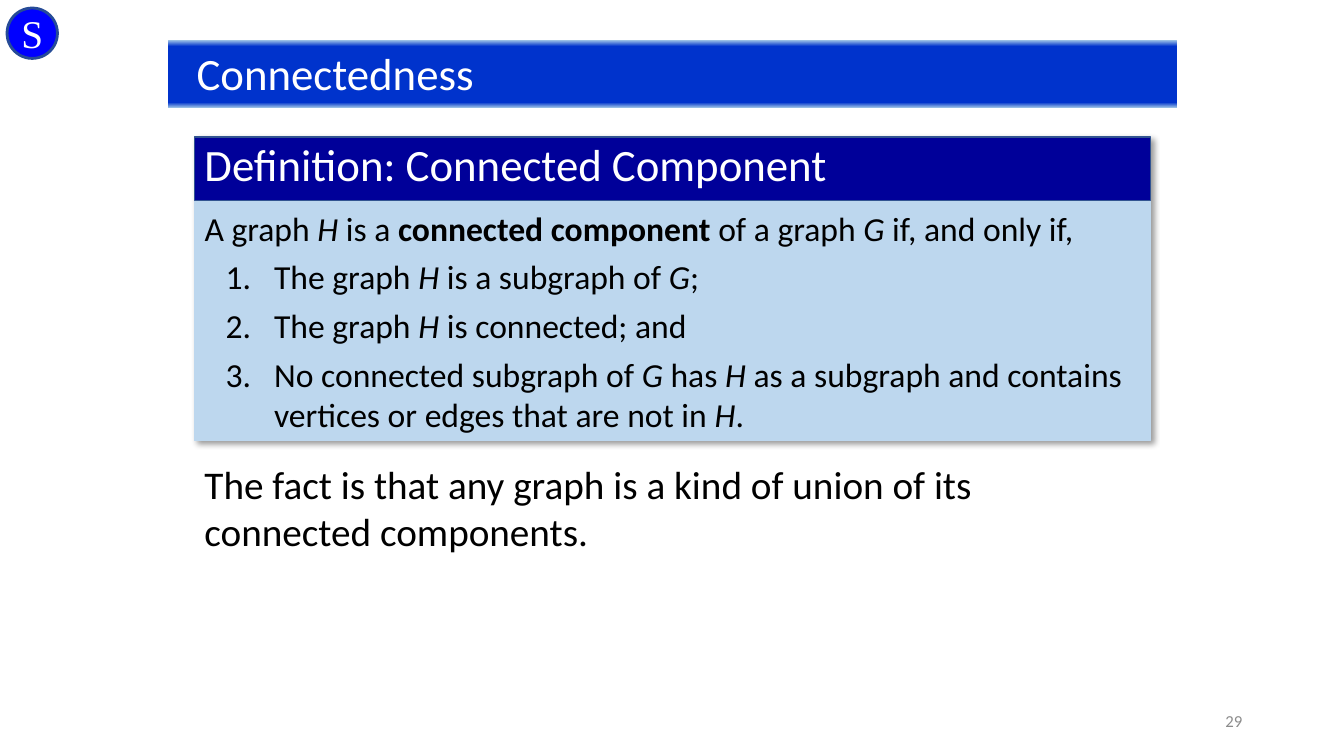
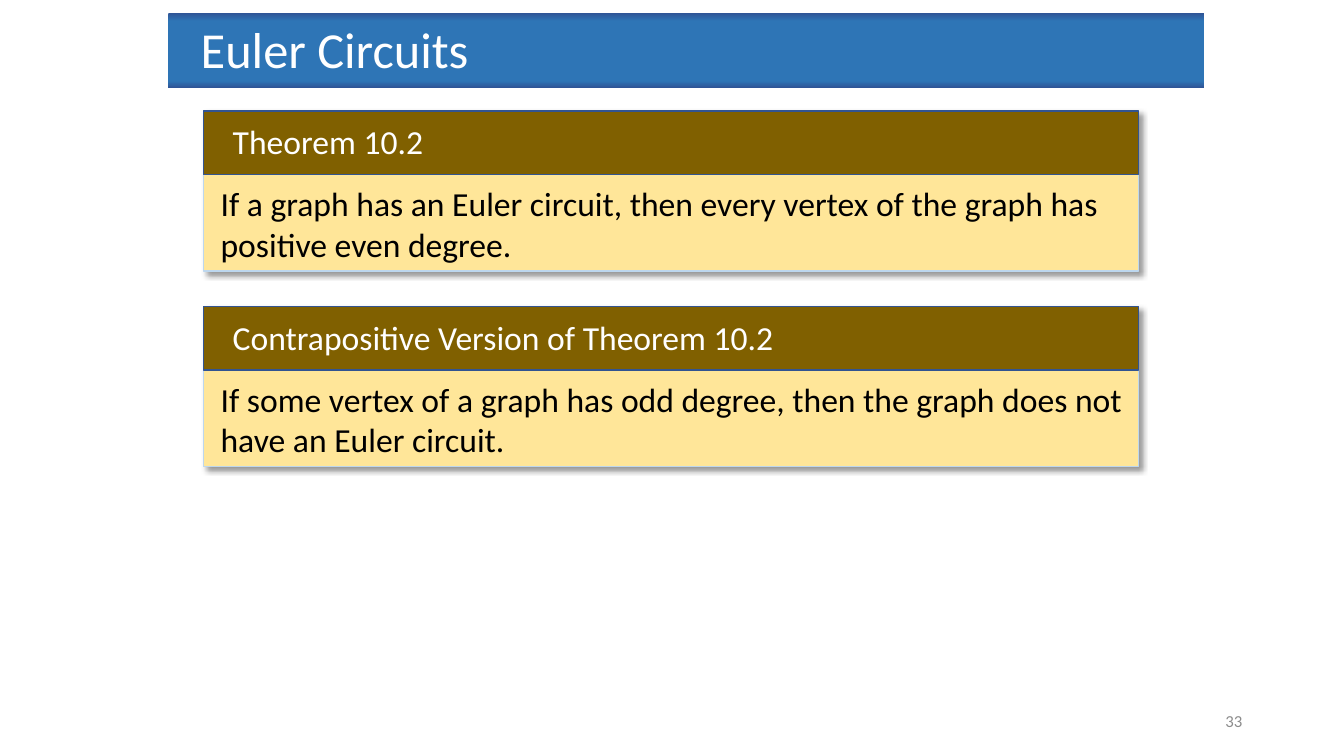
from dataclasses import dataclass
from typing import NamedTuple

import lxml.etree
import pptx
import pptx.dml.color
import pptx.enum.shapes
import pptx.enum.text
import pptx.oxml.ns
import pptx.util

Inches = pptx.util.Inches
Pt = pptx.util.Pt
Shapes = pptx.enum.shapes.MSO_SHAPE
Align = pptx.enum.text.PP_ALIGN
Anchor = pptx.enum.text.MSO_ANCHOR
qn = pptx.oxml.ns.qn

COLOURS = {
    "white": "FFFFFF", "black": "000000", "page number": "8C8C8C",
    "royal": "0033CC", "sky": "9DC3E6", "steel": "2E75B6", "denim": "2F5597",
    "navy": "000099", "pale blue": "BDD7EE", "header line": "325491",
    "brown": "806000", "cream": "FFE699",
    "badge": "0000FF", "badge line": "264B97",
}
FONT = "Calibri"


class Area(NamedTuple):
    left: float
    top: float
    width: float
    height: float

    def lengths(self) -> list:
        return [Inches(value) for value in self]


class Span(NamedTuple):
    text: str
    bold: bool = False
    italic: bool = False


class Line(NamedTuple):
    spans: list[Span]
    numbered: bool = False


@dataclass
class Banner:
    text: str
    area: Area
    size: int
    indent: float
    edge: str
    centre: str
    stops: tuple[int, int]


@dataclass
class PanelStyle:
    """Colours of a titled panel and the offsets of its texts from its corner."""
    header: str
    body: str
    heading_size: int
    heading_at: Area
    text_left: float
    text_top: float


@dataclass
class Panel:
    heading: str
    lines: list[Line]
    area: Area
    style: PanelStyle


HEADER_HEIGHT = 0.63
DEFINITION = PanelStyle("navy", "pale blue", 32, Area(0, -0.05, 8.96, 0.64), 0, 0.65)
THEOREM = PanelStyle("brown", "cream", 24, Area(0.19, 0.05, 7.74, 0.5), 0.07, 0.67)


def rgb(name: str) -> pptx.dml.color.RGBColor:
    return pptx.dml.color.RGBColor.from_string(COLOURS[name])


def add_span(para, span: Span, size: int, colour: str, font: str = FONT) -> None:
    run = para.add_run()
    run.text = span.text
    run.font.name = font
    run.font.size = Pt(size)
    run.font.color.rgb = rgb(colour)
    run.font.bold = span.bold
    run.font.italic = span.italic


def add_text(page, area: Area, lines: list[Line], size: int, colour: str = "black",
             space_after: int = 0):
    box = page.shapes.add_textbox(*area.lengths())
    frame = box.text_frame
    frame.word_wrap = True
    for index, line in enumerate(lines):
        para = frame.add_paragraph() if index else frame.paragraphs[0]
        if line.numbered:
            properties = para._p.get_or_add_pPr()
            properties.set("marL", str(Inches(0.69)))
            properties.set("indent", str(Inches(-0.48)))
            lxml.etree.SubElement(properties, qn("a:buAutoNum"), type="arabicPeriod")
        para.space_after = Pt(space_after)
        for span in line.spans:
            add_span(para, span, size, colour)
    return box


def add_filled(page, kind, area: Area, fill: str, line: str, line_width: int = 1):
    shape = page.shapes.add_shape(kind, *area.lengths())
    shape.shadow.inherit = False
    shape.fill.solid()
    shape.fill.fore_color.rgb = rgb(fill)
    shape.line.color.rgb = rgb(line)
    shape.line.width = Pt(line_width)
    return shape


def cast_shadow(shape) -> None:
    effects = shape._element.spPr.find(qn("a:effectLst"))
    shadow = lxml.etree.SubElement(
        effects, qn("a:outerShdw"), blurRad=str(Pt(4)), dist=str(Pt(3)),
        dir=str(45 * 60000), algn="tl", rotWithShape="0")
    colour = lxml.etree.SubElement(shadow, qn("a:srgbClr"), val=COLOURS["black"])
    lxml.etree.SubElement(colour, qn("a:alpha"), val="40000")


def fill_banner(shape, banner: Banner) -> None:
    """Fill with a vertical gradient whose centre colour spans the inner stops."""
    shape.fill.gradient()
    shape.fill.gradient_angle = 270
    stop_list = shape._element.spPr.find(".//" + qn("a:gsLst"))
    for stop in list(stop_list):
        stop_list.remove(stop)
    first, last = banner.stops
    for position, name in ((0, banner.edge), (first, banner.centre),
                           (last, banner.centre), (100, banner.edge)):
        stop = lxml.etree.SubElement(stop_list, qn("a:gs"), pos=str(position * 1000))
        lxml.etree.SubElement(stop, qn("a:srgbClr"), val=COLOURS[name])


def add_page(deck, banner: Banner, number: int):
    """Add a slide with its title banner and page number."""
    page = deck.slides.add_slide(deck.slide_layouts[5])
    title = page.shapes.title
    title.left, title.top, title.width, title.height = banner.area.lengths()
    fill_banner(title, banner)
    frame = title.text_frame
    frame.auto_size = pptx.enum.text.MSO_AUTO_SIZE.NONE
    frame.vertical_anchor = Anchor.TOP
    frame.margin_left = Inches(banner.indent)
    para = frame.paragraphs[0]
    para.alignment = Align.LEFT
    add_span(para, Span(banner.text), banner.size, "white")

    box = add_text(page, Area(9.42, 6.95, 3, 0.4), [Line([Span(str(number))])],
                   12, "page number")
    box.text_frame.vertical_anchor = Anchor.MIDDLE
    box.text_frame.paragraphs[0].alignment = Align.RIGHT
    return page


def add_panel(page, panel: Panel) -> None:
    area, style = panel.area, panel.style
    cast_shadow(add_filled(page, Shapes.RECTANGLE, area, style.body, "pale blue"))
    add_filled(page, Shapes.RECTANGLE, area._replace(height=HEADER_HEIGHT),
               style.header, "header line")
    offset = style.heading_at
    heading_area = offset._replace(left=area.left + offset.left, top=area.top + offset.top)
    add_text(page, heading_area, [Line([Span(panel.heading)])], style.heading_size, "white")
    text_area = Area(area.left + style.text_left, area.top + style.text_top,
                     area.width - style.text_left, area.height - style.text_top)
    add_text(page, text_area, panel.lines, 24, space_after=6)


def add_badge(page, letter: str) -> None:
    badge = add_filled(page, Shapes.FLOWCHART_CONNECTOR, Area(0.07, 0.08, 0.5, 0.5),
                       "badge", "badge line", 2)
    frame = badge.text_frame
    frame.word_wrap = False
    frame.vertical_anchor = Anchor.MIDDLE
    frame.paragraphs[0].alignment = Align.CENTER
    add_span(frame.paragraphs[0], Span(letter), 28, "white", "Times New Roman")


def build_connectedness(deck) -> None:
    page = add_page(deck, Banner("Connectedness", Area(1.67, 0.4, 10, 0.67), 32, 0.28,
                                 "sky", "royal", (9, 92)), 29)
    graph_g, graph_h = Span("G", italic=True), Span("H", italic=True)
    lines = [
        Line([Span("A graph "), graph_h, Span(" is a "),
              Span("connected component", bold=True), Span(" of a graph "), graph_g,
              Span(" if, and only if,")]),
        Line([Span("The graph "), graph_h, Span(" is a subgraph of "), graph_g,
              Span(";")], numbered=True),
        Line([Span("The graph "), graph_h, Span(" is connected; and")], numbered=True),
        Line([Span("No connected subgraph of "), graph_g, Span(" has "), graph_h,
              Span(" as a subgraph and contains vertices or edges that are not in "),
              graph_h, Span(".")], numbered=True),
    ]
    add_panel(page, Panel("Definition: Connected Component", lines,
                          Area(1.93, 1.36, 9.48, 3.01), DEFINITION))
    fact = "The fact is that any graph is a kind of union of its connected components."
    add_text(page, Area(1.93, 4.52, 9.24, 1.04), [Line([Span(fact)])], 28, space_after=6)
    add_badge(page, "S")


def build_euler_circuits(deck) -> None:
    page = add_page(deck, Banner("Euler Circuits", Area(1.67, 0.13, 10.27, 0.74), 36, 0.32,
                                 "denim", "steel", (11, 91)), 33)
    theorems = [
        ("Theorem 10.2",
         "If a graph has an Euler circuit, then every vertex of the graph has "
         "positive even degree."),
        ("Contrapositive Version of Theorem 10.2",
         "If some vertex of a graph has odd degree, then the graph does not "
         "have an Euler circuit."),
    ]
    for index, (heading, statement) in enumerate(theorems):
        area = Area(2.02, 1.1 + 1.94 * index, 9.27, 1.59)
        add_panel(page, Panel(heading, [Line([Span(statement)])], area, THEOREM))


def main() -> None:
    deck = pptx.Presentation()
    deck.slide_width, deck.slide_height = Inches(13.33), Inches(7.5)
    build_connectedness(deck)
    build_euler_circuits(deck)
    deck.save("out.pptx")


if __name__ == "__main__":
    main()
